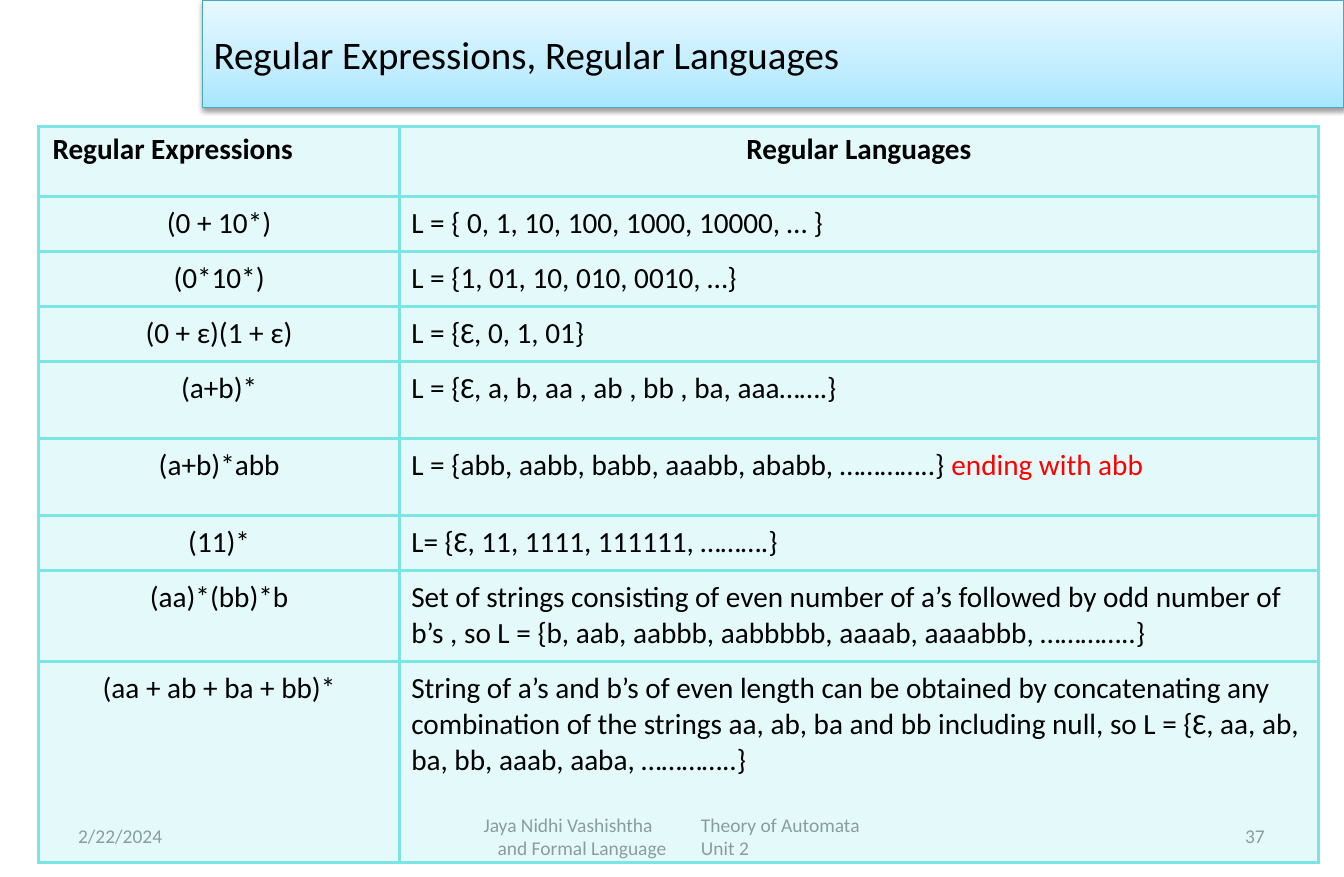
import copy
import pptx
import pptx.dml.color
import pptx.enum.shapes
import pptx.enum.text
import pptx.oxml
import pptx.oxml.ns
import pptx.util

Inches = pptx.util.Inches
Pt = pptx.util.Pt
RGB = pptx.dml.color.RGBColor
Align = pptx.enum.text.PP_ALIGN
MIDDLE = pptx.enum.text.MSO_ANCHOR.MIDDLE
qn = pptx.oxml.ns.qn

BLACK = RGB(0, 0, 0)
RED = RGB(0xFF, 0, 0)
GREY = RGB(0x8C, 0x8C, 0x8C)
TEAL = RGB(0x46, 0xAA, 0xC5)
AQUA = RGB(0x7B, 0xE5, 0xE5)
BLUES = [(0, RGB(0xA7, 0xE6, 0xFF)), (0.35, RGB(0xC1, 0xED, 0xFF)), (1, RGB(0xE7, 0xF8, 0xFF))]

BODY = {"name": "Calibri", "size": Pt(18), "bold": False}
HEAD = {**BODY, "bold": True}
TITLE = {**BODY, "size": Pt(24)}
SMALL = {**BODY, "size": Pt(12)}

COLS = [3.09, 7.86]
ROWS = [
    (0.6, "Regular Expressions", "Regular Languages"),
    (0.47, "(0 + 10*)", "L = { 0, 1, 10, 100, 1000, 10000, … }"),
    (0.47, "(0*10*)", "L = {1, 01, 10, 010, 0010, …}"),
    (0.47, "(0 + ε)(1 + ε)", "L = {Ɛ, 0, 1, 01}"),
    (0.66, "(a+b)*", "L = {Ɛ, a, b, aa , ab , bb , ba, aaa…….}"),
    (0.66, "(a+b)*abb", "L = {abb, aabb, babb, aaabb, ababb, …………..} |ending with abb"),
    (0.47, "(11)*", "L= {Ɛ, 11, 1111, 111111, ……….}"),
    (0.78, "(aa)*(bb)*b", "Set of strings consisting of even number of a’s followed by odd number of "
     "b’s , so L = {b, aab, aabbb, aabbbbb, aaaab, aaaabbb, …………..}"),
    (1.72, "(aa + ab + ba + bb)*", "String of a’s and b’s of even length can be obtained by concatenating any "
     "combination of the strings aa, ab, ba and bb including null, so L = {Ɛ, aa, ab, "
     "ba, bb, aaab, aaba, …………..}"),
]
CREDIT = [
    (0.11, "\tJaya Nidhi Vashishtha\tTheory of Automata"),
    (0.23, "\tand Formal Language\tUnit 2"),
]


def make(tag, inner="", **attrs):
    """Return a drawing element with the given attributes and inner XML."""
    pairs = " ".join(f'{key}="{val}"' for key, val in attrs.items())
    space = "http://schemas.openxmlformats.org/drawingml/2006/main"
    return pptx.oxml.parse_xml(f'<a:{tag} xmlns:a="{space}" {pairs}>{inner}</a:{tag}>')


def write(para, text, style, color=BLACK, align=Align.LEFT):
    """Add one styled run to a paragraph."""
    para.alignment = align
    run = para.add_run()
    run.text = text
    for key, val in style.items():
        setattr(run.font, key, val)
    run.font.color.rgb = color


def add_box(slide, box):
    """Add a wrapped, middle-anchored text box and return its frame."""
    frame = slide.shapes.add_textbox(*map(Inches, box)).text_frame
    frame.word_wrap = True
    frame.vertical_anchor = MIDDLE
    return frame


def add_foot(slide, box):
    """Place date, credit and page number across the box."""
    left, top, width, height = box
    side = 2.68
    date = add_box(slide, (left, top, side, height))
    write(date.paragraphs[0], "2/22/2024", SMALL, GREY)
    frame = add_box(slide, (left + 3.36, top, 3.64, height))
    for row, (start, text) in enumerate(CREDIT):
        para = frame.add_paragraph() if row else frame.paragraphs[0]
        write(para, text, SMALL, GREY)
        tabs = make("tabLst")
        for stop in (start, 1.97):
            tabs.append(make("tab", pos=Inches(stop), algn="l"))
        para._p.get_or_add_pPr().append(tabs)
    page = add_box(slide, (left + width - side, top, side, height))
    write(page.paragraphs[0], "37", SMALL, GREY, Align.RIGHT)


def add_title(slide, box):
    """Draw the shaded title bar in the box."""
    bar = slide.shapes.add_shape(pptx.enum.shapes.MSO_SHAPE.RECTANGLE, *map(Inches, box))
    bar.fill.gradient()
    bar.fill.gradient_angle = 90
    stops = bar._element.spPr.find(".//" + qn("a:gsLst"))
    stops.append(copy.deepcopy(stops[0]))
    for stop, (place, color) in zip(bar.fill.gradient_stops, BLUES):
        stop.position = place
        stop.color.rgb = color
    bar.line.color.rgb = TEAL
    bar.line.width = Pt(0.75)
    bar.shadow.inherit = False
    shade = '<a:srgbClr val="000000"><a:alpha val="38000"/></a:srgbClr>'
    bar._element.spPr.find(qn("a:effectLst")).append(
        make("outerShdw", shade, blurRad=Pt(3.1), dist=Pt(1.6), dir=5400000, rotWithShape=0))
    bar.text_frame.word_wrap = True
    bar.text_frame.vertical_anchor = MIDDLE
    write(bar.text_frame.paragraphs[0], "Regular Expressions, Regular Languages", TITLE)


def paint(cell, pad):
    """Give a cell its margins, pale fill and borders."""
    across, down = map(Inches, pad)
    sides = {"margin_left": across, "margin_right": across,
             "margin_top": down, "margin_bottom": down}
    for key, val in sides.items():
        setattr(cell, key, val)
    cell.fill.solid()
    cell.fill.fore_color.rgb = AQUA
    props = cell._tc.get_or_add_tcPr()
    props.find(".//" + qn("a:srgbClr")).append(make("alpha", val=20000))
    ink = f'<a:solidFill><a:srgbClr val="{AQUA}"/></a:solidFill>'
    for spot, edge in enumerate("LRTB"):
        props.insert(spot, make("ln" + edge, ink, w=Pt(2.25)))


def add_grid(slide, box):
    """Build the table of expressions and languages in the box."""
    grid = slide.shapes.add_table(len(ROWS), len(COLS), *map(Inches, box)).table
    grid.first_row = grid.horz_banding = False
    for col, width in zip(grid.columns, COLS):
        col.width = Inches(width)
    for row, (height, *texts) in enumerate(ROWS):
        grid.rows[row].height = Inches(height)
        for col, text in enumerate(texts):
            cell = grid.cell(row, col)
            paint(cell, (0.1, 0.08) if row else (0.12, 0.05))
            mid = (row == 0) == (col == 1)
            align = Align.CENTER if mid else Align.LEFT
            for part, color in zip(text.split("|"), (BLACK, RED)):
                write(cell.text_frame.paragraphs[0], part, BODY if row else HEAD, color, align)


def main():
    """Build and save the slide."""
    deck = pptx.Presentation()
    deck.slide_width, deck.slide_height = Inches(11.5), Inches(7.5)
    slide = deck.slides.add_slide(deck.slide_layouts[6])
    add_foot(slide, (0.57, 6.95, 10.35, 0.4))
    add_title(slide, (1.73, 0, 9.77, 0.92))
    add_grid(slide, (0.33, 1.08, 10.95, 6.3))
    deck.save("out.pptx")


if __name__ == "__main__":
    main()
